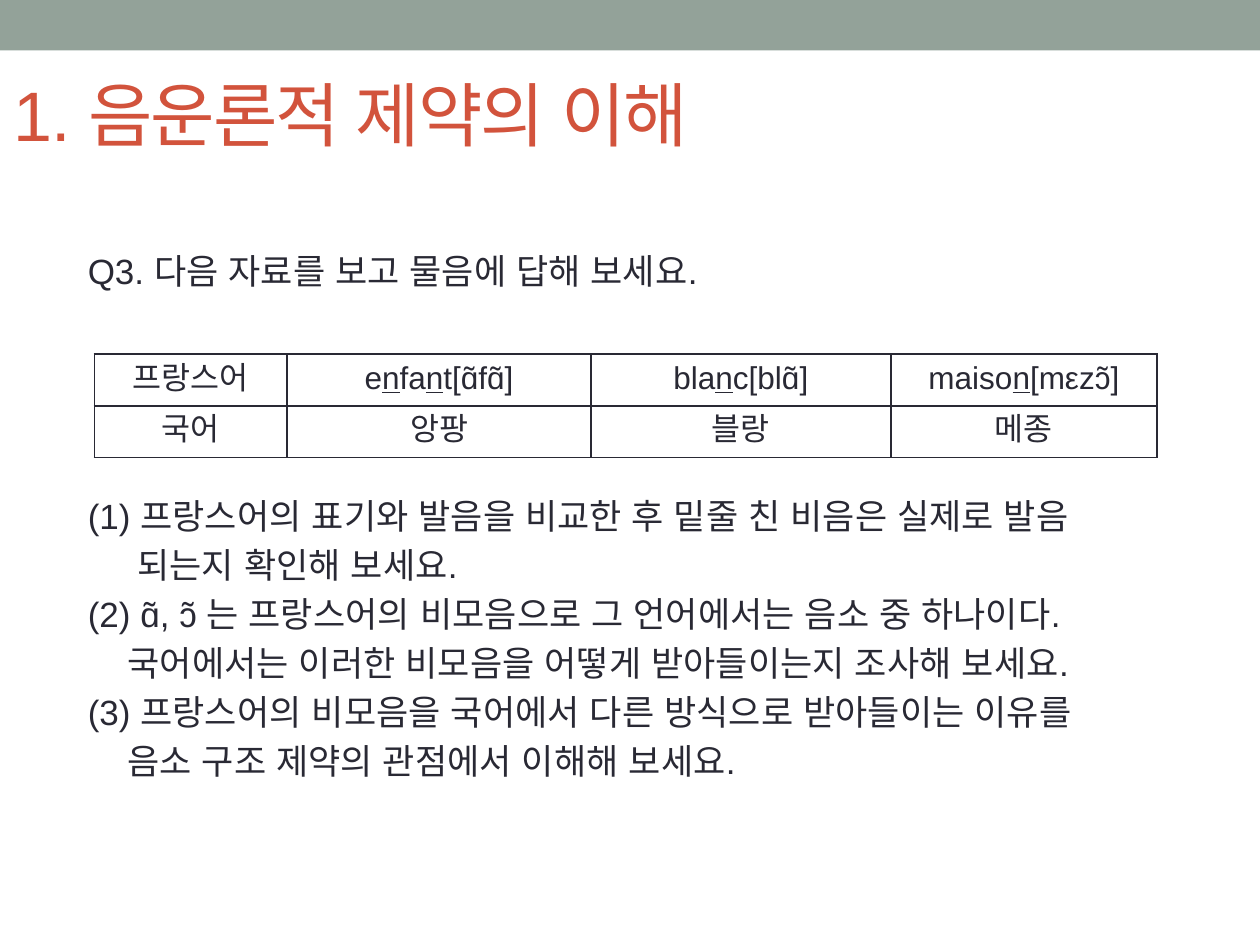
"""Build a slide on French nasal sounds and phonological constraints."""
from lxml import etree
from pptx import Presentation
from pptx.dml.color import RGBColor
from pptx.enum.shapes import MSO_SHAPE
from pptx.enum.text import MSO_ANCHOR, PP_ALIGN
from pptx.oxml.ns import qn
from pptx.util import Cm, Pt

RECT = MSO_SHAPE.RECTANGLE
TOP, MIDDLE = MSO_ANCHOR.TOP, MSO_ANCHOR.MIDDLE
LEFT, CENTER = PP_ALIGN.LEFT, PP_ALIGN.CENTER
SAGE = RGBColor(0x93, 0xA2, 0x99)
RUST = RGBColor(0xD2, 0x53, 0x3C)
INK = RGBColor(0x29, 0x29, 0x34)
FONT = "Arial"

COLS = [3.89, 6.12, 6.05, 5.36]
ROW_H = 1.04
ROWS = [
    ["프랑스어", "e_n_fa_n_t[ɑ̃fɑ̃]", "bla_n_c[blɑ̃]", "maiso_n_[mεzɔ̃]"],
    ["국어", "앙팡", "블랑", "메종"],
]
QUESTIONS = [
    ("(1) 프랑스어의 표기와 발음을 비교한 후 밑줄 친 비음은 실제로 발음", 0),
    ("되는지 확인해 보세요.", 1),
    ("(2) ɑ̃, ɔ̃ 는 프랑스어의 비모음으로 그 언어에서는 음소 중 하나이다.", 0),
    ("국어에서는 이러한 비모음을 어떻게 받아들이는지 조사해 보세요.", 0.8),
    ("(3) 프랑스어의 비모음을 국어에서 다른 방식으로 받아들이는 이유를", 0),
    ("음소 구조 제약의 관점에서 이해해 보세요.", 0.8),
]


def write(p, text, size=20, color=INK, align=LEFT, before=0, indent=0, spacing=0):
    """Fill a paragraph, underlining the parts set between underscores."""
    p.alignment = align
    p.space_before = Pt(before)
    pPr = p._p.get_or_add_pPr()
    pPr.set("marL", str(Cm(indent)))
    pPr.set("indent", "0")
    for i, part in enumerate(text.split("_")):
        r = p.add_run()
        r.text = part
        r.font.name = FONT
        r.font.size = Pt(size)
        r.font.color.rgb = color
        if i % 2:
            r.font.underline = True
        rPr = r._r.get_or_add_rPr()
        if spacing:
            rPr.set("spc", str(spacing))
        etree.SubElement(rPr, qn("a:ea")).set("typeface", FONT)


def add_band(s):
    """Draw the band across the top."""
    sp = s.shapes.add_shape(RECT, 0, 0, Cm(25.4), Cm(1.02))
    sp.shadow.inherit = False
    sp.fill.solid()
    sp.fill.fore_color.rgb = SAGE
    sp.line.fill.background()


def add_text(s, box, lines, anchor=TOP, **fmt):
    """Add a text box with one paragraph for each (text, indent) pair."""
    sp = s.shapes.add_textbox(*map(Cm, box))
    tf = sp.text_frame
    tf.word_wrap = True
    tf.vertical_anchor = anchor
    tf.margin_top = tf.margin_bottom = 0
    for i, (text, indent) in enumerate(lines):
        p = tf.add_paragraph() if i else tf.paragraphs[0]
        write(p, text, indent=indent, **fmt)


def set_borders(cell):
    """Give a cell thin dark lines on all sides."""
    tcPr = cell._tc.get_or_add_tcPr()
    for i, side in enumerate(("lnL", "lnR", "lnT", "lnB")):
        ln = etree.Element(qn(f"a:{side}"), w=str(Pt(1)))
        fill = etree.SubElement(ln, qn("a:solidFill"))
        etree.SubElement(fill, qn("a:srgbClr")).set("val", str(INK))
        tcPr.insert(i, ln)


def add_word_table(s, left, top):
    """Add the table of French words and their Korean forms."""
    sp = s.shapes.add_table(len(ROWS), len(COLS), Cm(left), Cm(top),
                            Cm(sum(COLS)), Cm(ROW_H * len(ROWS)))
    table = sp.table
    table.first_row = table.horz_banding = False
    for col, width in zip(table.columns, COLS):
        col.width = Cm(width)
    for row, texts in zip(table.rows, ROWS):
        row.height = Cm(ROW_H)
        for cell, text in zip(row.cells, texts):
            cell.fill.background()
            set_borders(cell)
            write(cell.text_frame.paragraphs[0], text, size=18, align=CENTER)


def main():
    """Build and save the slide."""
    prs = Presentation()
    prs.slide_width, prs.slide_height = Cm(25.4), Cm(19.05)
    s = prs.slides.add_slide(prs.slide_layouts[6])
    add_band(s)
    add_text(s, (0.03, 0.91, 22.86, 2.74), [("1. 음운론적 제약의 이해", 0)],
             anchor=MIDDLE, size=40, color=RUST, spacing=-100)
    add_text(s, (1.52, 5.03, 22.5, 1), [("Q3. 다음 자료를 보고 물음에 답해 보세요.", 0)],
             before=4)
    add_word_table(s, 1.9, 7.14)
    add_text(s, (1.52, 9.97, 22.5, 6), QUESTIONS, before=4)
    prs.save("out.pptx")


main()
